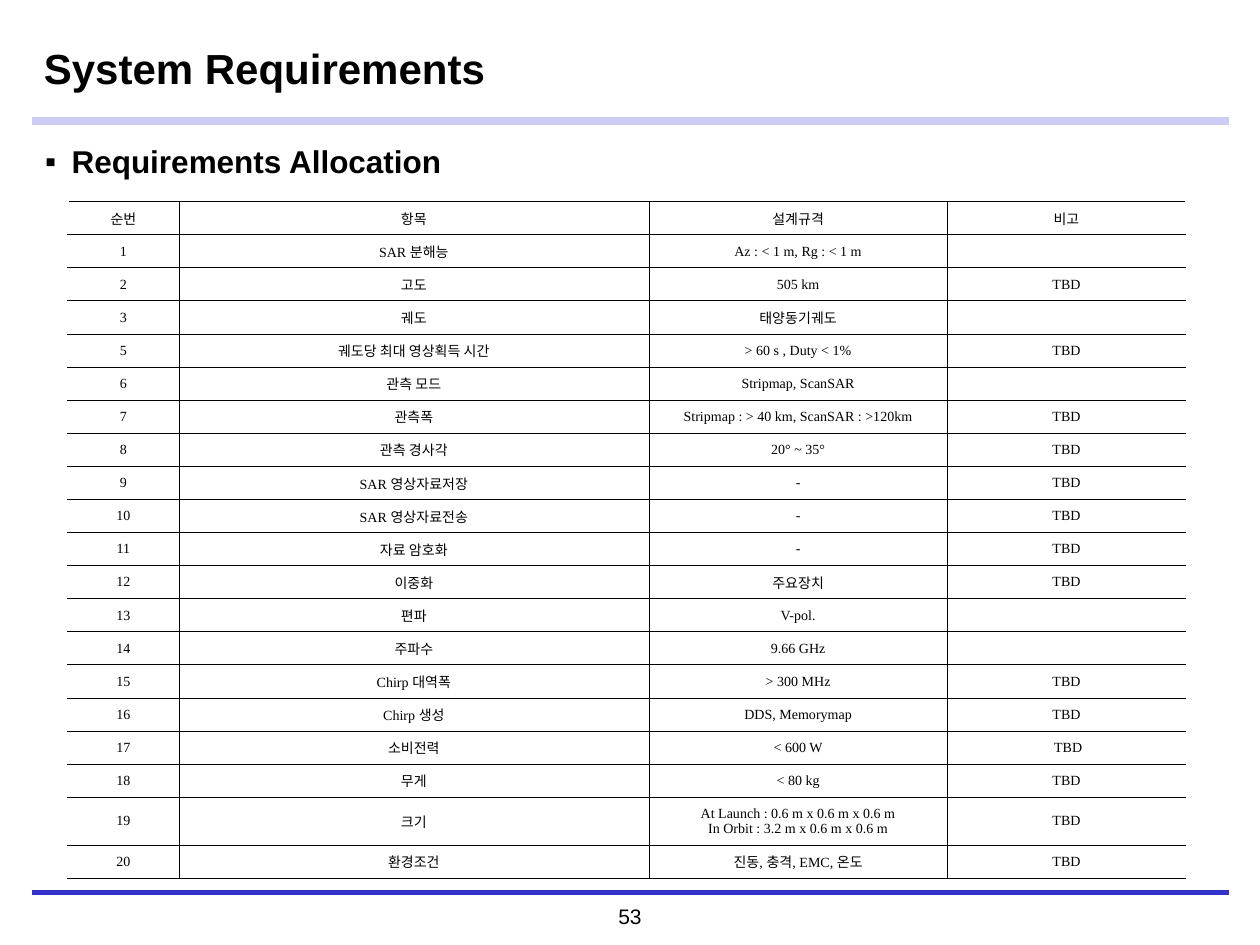
from lxml.etree import SubElement
from pptx import Presentation
from pptx.dml.color import RGBColor
from pptx.enum.shapes import MSO_CONNECTOR
from pptx.enum.text import MSO_ANCHOR, PP_ALIGN
from pptx.oxml.ns import qn
from pptx.util import Inches, Pt

COLORS = {"text": "000000", "title_rule": "CCCCF5", "footer_rule": "3333CC",
          "grid": "000000", "side": "FFFFFF"}
HEADING = {"name": "Arial", "bold": True}
CELL_FONT = {"name": "Times New Roman", "size": Pt(8)}
COL_WIDTHS = [0.88, 3.73, 2.37, 1.89]
TABLE_HEIGHT = 5.37
TWO_LINE_HEIGHT = 0.38
ROWS = [
    ("순번", "항목", "설계규격", "비고"),
    ("1", "SAR 분해능", "Az : < 1 m, Rg : < 1 m", ""),
    ("2", "고도", "505 km", "TBD"),
    ("3", "궤도", "태양동기궤도", ""),
    ("5", "궤도당 최대 영상획득 시간", "> 60 s , Duty < 1%", "TBD"),
    ("6", "관측 모드", "Stripmap, ScanSAR", ""),
    ("7", "관측폭", "Stripmap : > 40 km, ScanSAR : >120km", "TBD"),
    ("8", "관측 경사각", "20° ~ 35°", "TBD"),
    ("9", "SAR 영상자료저장", "-", "TBD"),
    ("10", "SAR 영상자료전송", "-", "TBD"),
    ("11", "자료 암호화", "-", "TBD"),
    ("12", "이중화", "주요장치", "TBD"),
    ("13", "편파", "V-pol.", ""),
    ("14", "주파수", "9.66 GHz", ""),
    ("15", "Chirp 대역폭", "> 300 MHz", "TBD"),
    ("16", "Chirp 생성", "DDS, Memorymap", "TBD"),
    ("17", "소비전력", "< 600 W", " TBD"),
    ("18", "무게", "< 80 kg", "TBD"),
    ("19", "크기",
     "At Launch : 0.6 m x 0.6 m x 0.6 m\nIn Orbit : 3.2 m x 0.6 m x 0.6 m", "TBD"),
    ("20", "환경조건", "진동, 충격, EMC, 온도", "TBD"),
]


def set_font(font, formats):
    for name, value in formats.items():
        setattr(font, name, value)
    font.color.rgb = RGBColor.from_string(COLORS["text"])


def add_text(slide, box, text, formats, anchor=MSO_ANCHOR.TOP, align=PP_ALIGN.LEFT):
    tf = slide.shapes.add_textbox(*map(Inches, box)).text_frame
    tf.word_wrap = True
    tf.vertical_anchor = anchor
    p = tf.paragraphs[0]
    p.alignment = align
    r = p.add_run()
    r.text = text
    set_font(r.font, formats)
    return p


def add_rule(slide, left, top, width, color, weight):
    line = slide.shapes.add_connector(
        MSO_CONNECTOR.STRAIGHT, *map(Inches, (left, top, left + width, top)))
    line.line.color.rgb = RGBColor.from_string(COLORS[color])
    line.line.width = Pt(weight)
    SubElement(line._element.spPr, qn("a:effectLst"))


def add_header(slide, left, top, width):
    add_text(slide, (left, top, 7.64, 0.77), "System Requirements",
             {**HEADING, "size": Pt(24)}, MSO_ANCHOR.MIDDLE)
    add_rule(slide, left, top + 0.81, width, "title_rule", 4.5)


def add_bullet(slide, box, text):
    p = add_text(slide, box, text, {**HEADING, "size": Pt(18)})
    p.space_before = Pt(3.6)
    pPr = p._p.get_or_add_pPr()
    pPr.set("marL", str(Inches(0.21)))
    pPr.set("indent", str(Inches(-0.21)))
    SubElement(pPr, qn("a:buFont"), typeface="Arial")
    SubElement(pPr, qn("a:buChar"), char="▪")


def set_borders(cell, first, last):
    """Rule the cell in black, with white lines on the table's outer sides."""
    tcPr = cell._tc.get_or_add_tcPr()
    for tag, outer in (("lnL", first), ("lnR", last), ("lnT", False), ("lnB", False)):
        ln = SubElement(tcPr, qn("a:" + tag), w=str(Pt(1 if outer else 0.5)))
        fill = SubElement(ln, qn("a:solidFill"))
        SubElement(fill, qn("a:srgbClr"), val=COLORS["side" if outer else "grid"])


def fill_cell(cell, text):
    cell.text = text
    cell.vertical_anchor = MSO_ANCHOR.MIDDLE
    for p in cell.text_frame.paragraphs:
        p.alignment = PP_ALIGN.CENTER
        for r in p.runs:
            set_font(r.font, CELL_FONT)
        if not p.runs:
            SubElement(p._p, qn("a:endParaRPr"), sz="800")


def add_requirements(slide, left, top):
    line_height = (TABLE_HEIGHT - TWO_LINE_HEIGHT) / (len(ROWS) - 1)
    box = (left, top, sum(COL_WIDTHS), TABLE_HEIGHT)
    table = slide.shapes.add_table(
        len(ROWS), len(COL_WIDTHS), *map(Inches, box)).table
    table.first_row = table.horz_banding = False
    for column, width in zip(table.columns, COL_WIDTHS):
        column.width = Inches(width)
    last = len(COL_WIDTHS) - 1
    for row, texts in zip(table.rows, ROWS):
        row.height = Inches(TWO_LINE_HEIGHT if "\n" in texts[2] else line_height)
        for i, (cell, text) in enumerate(zip(row.cells, texts)):
            fill_cell(cell, text)
            set_borders(cell, i == 0, i == last)
            cell.fill.background()


def add_footer(slide, left, top, width):
    for offset in (0.01, 0):
        add_rule(slide, left, top + offset, width, "footer_rule", 2)
    number_width = 1.62
    add_text(slide, (left + (width - number_width) / 2, top + 0.04, number_width, 0.3),
             "53", {"name": "Arial", "size": Pt(12)}, align=PP_ALIGN.CENTER)


def main():
    prs = Presentation()
    prs.slide_width, prs.slide_height = Inches(10), Inches(7.5)
    slide = prs.slides.add_slide(prs.slide_layouts[6])
    add_footer(slide, 0.25, 7.08, 9.5)
    add_header(slide, 0.25, 0.15, 9.5)
    add_bullet(slide, (0.26, 1.08, 9.48, 0.45), "Requirements Allocation")
    add_requirements(slide, 0.54, 1.6)
    prs.save("out.pptx")


if __name__ == "__main__":
    main()
